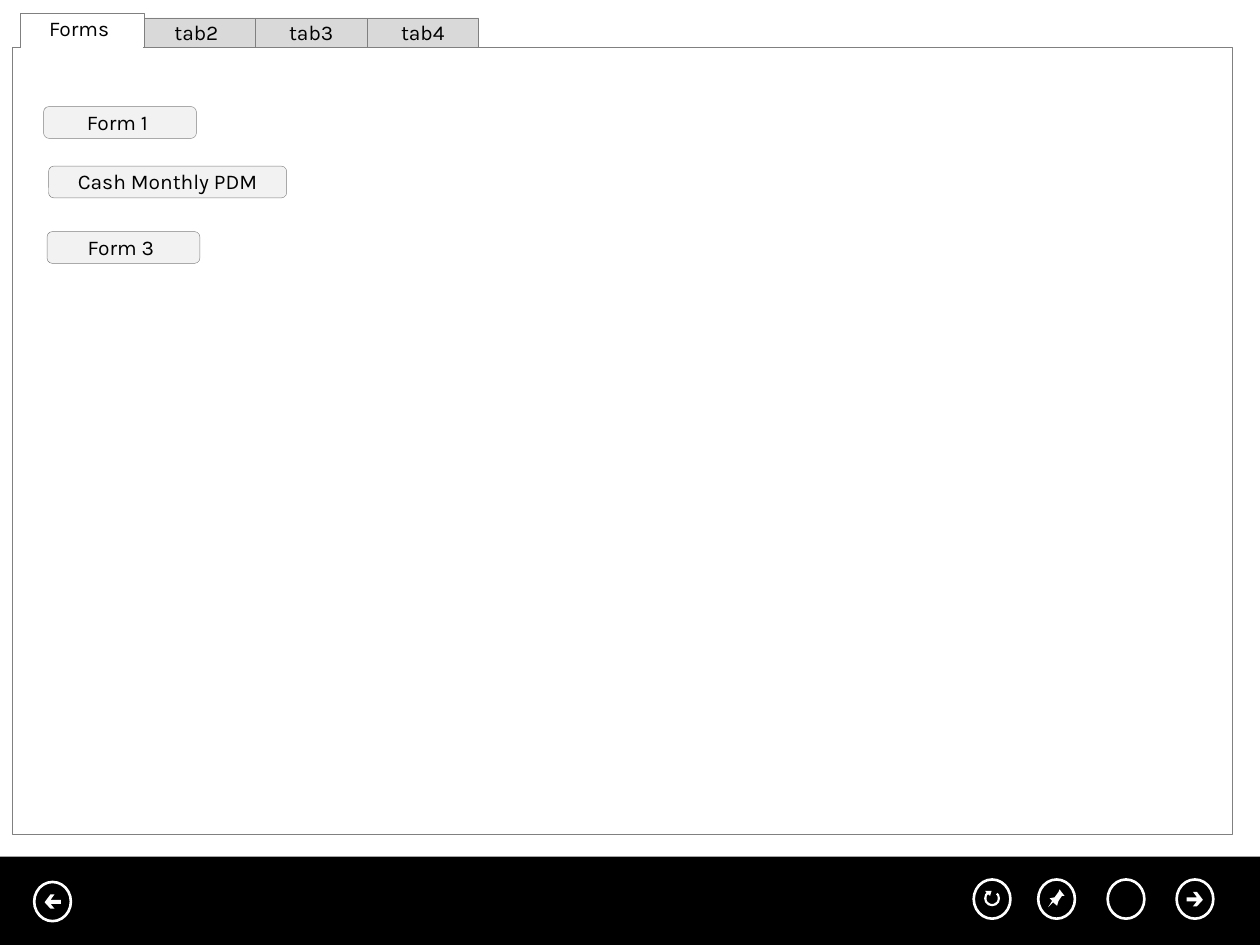
from math import cos, sin, radians
from pptx import Presentation
from pptx.dml.color import RGBColor
from pptx.enum.shapes import MSO_CONNECTOR as LINK, MSO_SHAPE as KIND
from pptx.enum.text import MSO_ANCHOR as ANCHOR, PP_ALIGN as ALIGN
from pptx.oxml.ns import qn
from pptx.util import Cm, Pt
from lxml.etree import SubElement

HUES = {"black": "000000", "white": "FFFFFF", "edge": "808080",
        "tab": "D9D9D9", "button": "F2F2F2"}


def paint(shape, fill=None, line=None, width=0.25):
    """Set fill and outline; None means there is none."""
    shape.shadow.inherit = False
    if fill:
        shape.fill.solid()
        shape.fill.fore_color.rgb = RGBColor.from_string(HUES[fill])
    else:
        shape.fill.background()
    if line:
        shape.line.color.rgb = RGBColor.from_string(HUES[line])
        shape.line.width = Pt(width)
    else:
        shape.line.fill.background()


def label(shape, text, pads, anchor):
    """Write centred text; pads are left, top, right, bottom in cm."""
    frame = shape.text_frame
    frame.word_wrap = True
    frame.vertical_anchor = anchor
    (frame.margin_left, frame.margin_top,
     frame.margin_right, frame.margin_bottom) = map(Cm, pads)
    para = frame.paragraphs[0]
    para.alignment = ALIGN.CENTER
    run = para.add_run()
    run.text = text
    run.font.name = "Karla"
    run.font.size = Pt(12)
    run.font.color.rgb = RGBColor.from_string(HUES["black"])


deck = Presentation()
deck.slide_width, deck.slide_height = Cm(25.4), Cm(19.05)
shapes = deck.slides.add_slide(deck.slide_layouts[6]).shapes

# Bottom bar
bar = shapes.add_shape(KIND.RECTANGLE, 0, Cm(17.27), Cm(25.4), Cm(1.78))
paint(bar, "black")

# Glyph outlines, in hundredths of a cm from the corner of the ring
right = [(41, 36), (33, 25), (41, 25), (53, 41), (41, 54),
         (33, 54), (41, 44), (20, 44), (20, 36)]
left = [(74 - x, y) for x, y in right]
pin = [(48, 33), (41, 43), (38, 53), (30, 46), (20, 56), (28, 43),
       (23, 38), (33, 36), (41, 25), (43, 20), (53, 33)]
outer, inner = [[(37 + r * cos(radians(a)), 38 + r * sin(radians(a)))
                 for a in range(-45, 226, 15)] for r in (16, 11)]
reload = outer + [(23, 23), (36, 23), (33, 33)] + inner[::-1]

icons = [(23.72, 17.73, right), (20.93, 17.73, pin), (19.63, 17.73, reload),
         (0.69, 17.78, left), (22.33, 17.73, None)]
for x, y, glyph in icons:
    ring = shapes.add_shape(KIND.OVAL, Cm(x), Cm(y), Cm(0.74), Cm(0.79))
    paint(ring, None, "white", 1.5)
    if glyph:
        pen = shapes.build_freeform(*glyph[0], scale=Cm(0.01))
        pen.add_line_segments(glyph[1:], close=True)
        paint(pen.convert_to_shape(Cm(x), Cm(y)), "white")

# Page with its tabs
page = shapes.add_shape(KIND.RECTANGLE, Cm(0.25), Cm(0.95), Cm(24.59), Cm(15.87))
paint(page, "white", "edge")

step = 2.25
for i, (text, pad) in enumerate([("tab2", 0), ("tab3", 0.13), ("tab4", 0.13)]):
    tab = shapes.add_shape(KIND.RECTANGLE, Cm(2.9 + i * step), Cm(0.36),
                           Cm(step), Cm(0.59))
    paint(tab, "tab", "edge")
    label(tab, text, (pad, 0.03, 0.13, 0.13), ANCHOR.TOP)

front = shapes.add_shape(KIND.RECTANGLE, Cm(0.41), Cm(0.27), Cm(2.5), Cm(0.68))
paint(front, "white", "edge")
label(front, "Forms", (0, 0.05, 0.13, 0.13), ANCHOR.TOP)

# White line that opens the front tab to the page
seam = shapes.add_connector(LINK.STRAIGHT, Cm(0.43), Cm(0.95), Cm(2.88), Cm(0.95))
seam.line.color.rgb = RGBColor.from_string(HUES["white"])
seam.line.width = Pt(1)
SubElement(seam.element.spPr, qn("a:effectLst"))

# Form buttons
for text, x, y, wide in [("Form 1 ", 0.88, 2.15, 3.08),
                         ("Cash Monthly PDM", 0.98, 3.35, 4.8),
                         ("Form 3 ", 0.95, 4.67, 3.08)]:
    button = shapes.add_shape(KIND.ROUNDED_RECTANGLE, Cm(x), Cm(y), Cm(wide), Cm(0.64))
    paint(button, "button", "edge")
    label(button, text, (0.25, 0, 0.25, 0.03), ANCHOR.MIDDLE)

deck.save("out.pptx")
